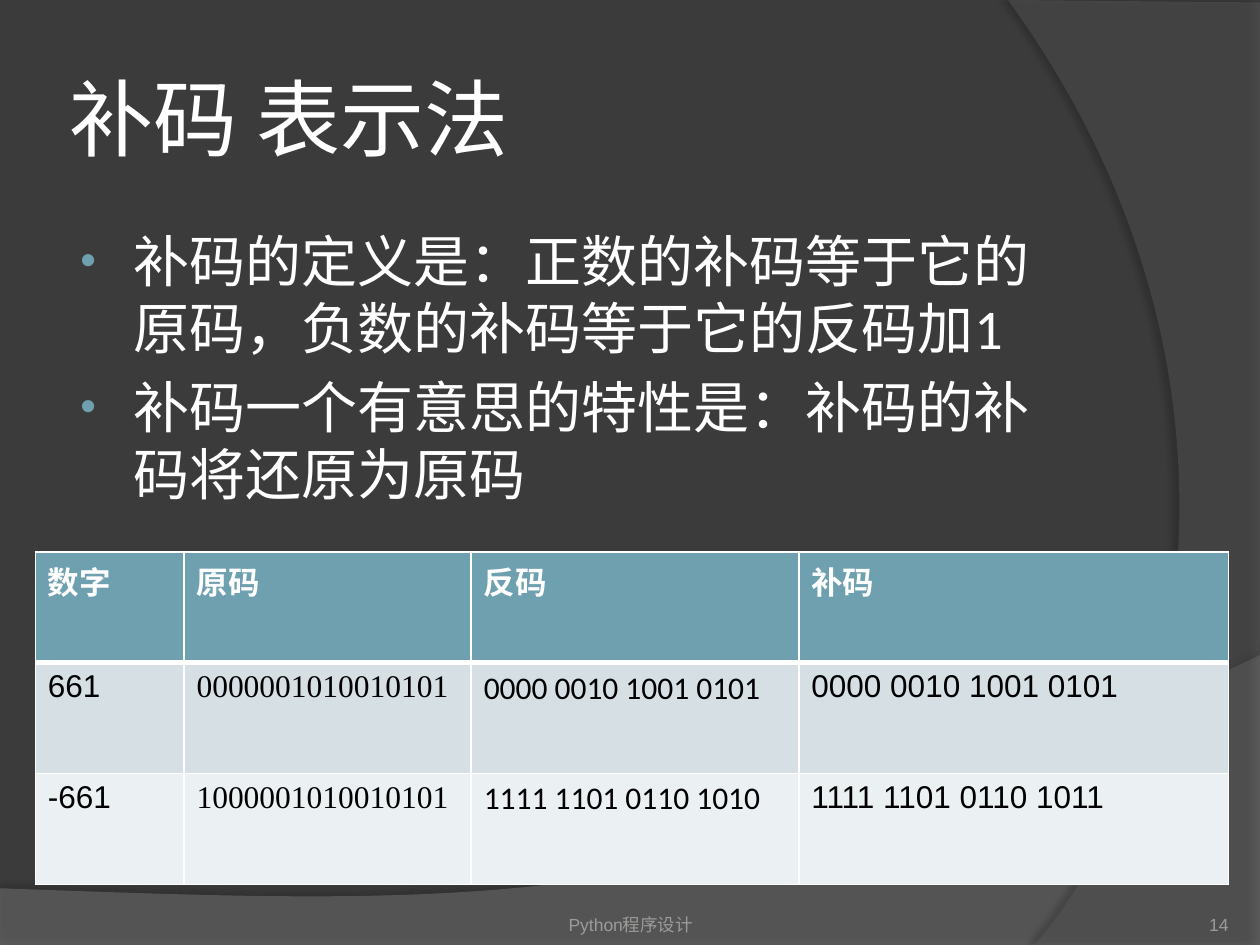
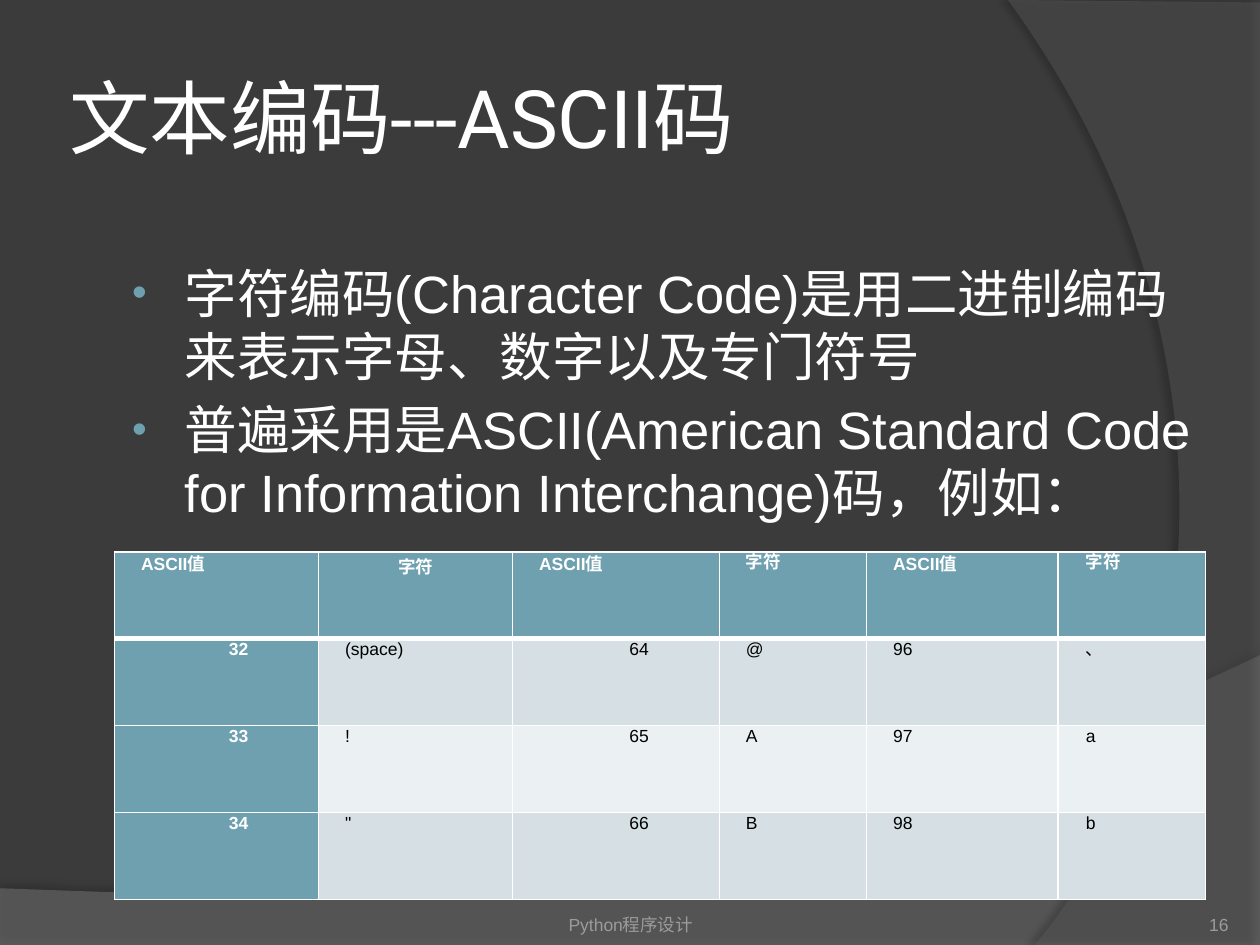
from dataclasses import dataclass

from pptx import Presentation
from pptx.dml.color import RGBColor
from pptx.enum.text import MSO_ANCHOR, PP_ALIGN
from pptx.oxml import parse_xml
from pptx.oxml.ns import nsdecls, qn
from pptx.oxml.xmlchemy import OxmlElement
from pptx.util import Inches, Pt


@dataclass(frozen=True)
class Theme:
    background: str = "3B3B3B"
    bottom_band: str = "7F7F7F"
    side_band: str = "5E5E5E"
    shadow: str = "000000"
    light: str = "FFFFFF"
    dark: str = "000000"
    muted: str = "9D9B9A"
    accent: str = "6EA0B0"
    row_fills: tuple = ("D5DFE4", "EBF0F2")
    font: str = "Arial"
    serif: str = "Times New Roman"
    humanist: str = "Calibri"
    title_font: str = "Roboto"
    chinese: str = "Noto Sans CJK SC"
    footer_size: int = 10
    number_table_size: int = 18
    ascii_table_size: int = 10


THEME = Theme()
TITLE_BOX = (0.5, 0.3, 8.17, 1.25)
FOOTER_BOX = (3.42, 7.02, 3.17, 0.4)
NUMBER_BOX = (8.92, 7.02, 0.83, 0.4)
FOOTER_TEXT = "Python程序设计"


def style_paragraph(paragraph, size, color, font=THEME.font, bold=False):
    paragraph.font.size = Pt(size)
    paragraph.font.name = font
    paragraph.font.bold = bold
    paragraph.font.color.rgb = RGBColor.from_string(color)
    east_asian = OxmlElement("a:ea")
    east_asian.set("typeface", THEME.chinese)
    paragraph.font._rPr.find(qn("a:latin")).addnext(east_asian)


def add_text_box(slide, box, anchor=MSO_ANCHOR.TOP, insets=(0.1, 0.05, 0.1, 0.05)):
    """Return the text frame of a wrapping box; insets are left, top, right, bottom."""
    frame = slide.shapes.add_textbox(*map(Inches, box)).text_frame
    frame.word_wrap = True
    frame.vertical_anchor = anchor
    (frame.margin_left, frame.margin_top,
     frame.margin_right, frame.margin_bottom) = map(Inches, insets)
    return frame


def add_line_of_text(slide, box, text, size, color, font, anchor, insets, align):
    frame = add_text_box(slide, box, anchor, insets)
    paragraph = frame.paragraphs[0]
    paragraph.text = text
    paragraph.alignment = align
    style_paragraph(paragraph, size, color, font)


def add_band(slide, start, steps, color, opacity, shadow):
    """Draw a closed outline: a step of one point is a line, of three a curve.

    The shadow is opacity in percent, blur and distance in points, and angle.
    """
    points = [[(Inches(x), Inches(y)) for x, y in step] for step in steps]
    builder = slide.shapes.build_freeform(*map(Inches, start))
    builder.add_line_segments([step[-1] for step in points], close=True)
    band = builder.convert_to_shape()
    segments = list(band._element.iter(qn("a:lnTo")))
    for segment, step in zip(segments, points):
        if len(step) == 3:
            curve = OxmlElement("a:cubicBezTo")
            for x, y in step:
                point = OxmlElement("a:pt")
                point.set("x", str(x - band.left))
                point.set("y", str(y - band.top))
                curve.append(point)
            segment.getparent().replace(segment, curve)

    band.fill.solid()
    band.fill.fore_color.rgb = RGBColor.from_string(color)
    alpha = OxmlElement("a:alpha")
    alpha.set("val", str(opacity * 1000))
    band._element.spPr.find(qn("a:solidFill"))[0].append(alpha)
    band.line.fill.background()
    band.shadow.inherit = False
    strength, blur, distance, angle = shadow
    band._element.spPr.find(qn("a:effectLst")).append(parse_xml(
        f'<a:outerShdw {nsdecls("a")} blurRad="{Pt(blur)}" dist="{Pt(distance)}" '
        f'dir="{angle * 60000}" rotWithShape="0"><a:srgbClr val="{THEME.shadow}">'
        f'<a:alpha val="{strength * 1000}"/></a:srgbClr></a:outerShdw>'))


def add_backdrop(slide):
    add_band(slide, (0, 7.05),
             [[(0, 7.5)], [(10, 7.5)], [(10, 5.2)],
              [(5.59, 7.29), (3.91, 7.19), (0, 7.05)]],
             THEME.bottom_band, 45, (35, 4, 3.5, 270))
    add_band(slide, (10, 0.02),
             [[(10, 7.5)], [(8.21, 7.5)], [(9.35, 6.19), (10.18, 3), (8, 0)]],
             THEME.side_band, 40, (45, 4, 4, 180))


def add_base_slide(presentation, title, title_size, title_font, number):
    """Add a slide with the bands, title, footer and page number."""
    slide = presentation.slides.add_slide(presentation.slide_layouts[6])
    add_backdrop(slide)
    add_line_of_text(slide, TITLE_BOX, title, title_size, THEME.light, title_font,
                     MSO_ANCHOR.MIDDLE, (0.05,) * 4, PP_ALIGN.LEFT)
    for box, text, top_inset, align in (
            (FOOTER_BOX, FOOTER_TEXT, 0.05, PP_ALIGN.CENTER),
            (NUMBER_BOX, str(number), 0, PP_ALIGN.RIGHT)):
        add_line_of_text(slide, box, text, THEME.footer_size, THEME.muted, THEME.font,
                         MSO_ANCHOR.BOTTOM, (0, top_inset, 0, 0), align)
    return slide


def add_bullets(slide, box, texts, size, font):
    frame = add_text_box(slide, box)
    for index, text in enumerate(texts):
        paragraph = frame.paragraphs[0] if index == 0 else frame.add_paragraph()
        paragraph.text = text
        properties = paragraph._p.get_or_add_pPr()
        properties.set("marL", str(Inches(0.46)))
        properties.set("indent", str(Inches(-0.42)))
        for bullet in (
                f'<a:buClr {nsdecls("a")}><a:srgbClr val="{THEME.accent}"/></a:buClr>',
                f'<a:buSzPct {nsdecls("a")} val="80000"/>',
                f'<a:buFont {nsdecls("a")} typeface="{THEME.font}"/>',
                f'<a:buChar {nsdecls("a")} char="•"/>'):
            properties.append(parse_xml(bullet))
        paragraph.space_before = Pt(size * 0.2 if index else 0)
        style_paragraph(paragraph, size, THEME.light, font)


def set_borders(cell, top, bottom):
    properties = cell._tc.get_or_add_tcPr()
    for side, width in (("L", 1), ("R", 1), ("T", top), ("B", bottom)):
        properties.append(parse_xml(
            f'<a:ln{side} {nsdecls("a")} w="{Pt(width)}"><a:solidFill>'
            f'<a:srgbClr val="{THEME.light}"/></a:solidFill></a:ln{side}>'))


def add_grid(slide, left, top, widths, row_height, rows, size, column_fonts,
             header_column=False):
    """Add a banded table with a header row; fonts apply below the header."""
    table = slide.shapes.add_table(
        len(rows), len(widths), Inches(left), Inches(top),
        Inches(sum(widths)), Inches(row_height * len(rows))).table
    table.first_col = header_column
    for column, width in zip(table.columns, widths):
        column.width = Inches(width)
    for row_index, row in enumerate(rows):
        for column_index, text in enumerate(row):
            cell = table.cell(row_index, column_index)
            is_header = row_index == 0 or (header_column and column_index == 0)
            set_borders(cell, 3 if row_index == 1 else 1, 3 if row_index == 0 else 1)
            cell.fill.solid()
            cell.fill.fore_color.rgb = RGBColor.from_string(
                THEME.accent if is_header else THEME.row_fills[(row_index - 1) % 2])
            paragraph = cell.text_frame.paragraphs[0]
            paragraph.text = text
            style_paragraph(paragraph, size, THEME.light if is_header else THEME.dark,
                            column_fonts[column_index] if row_index else THEME.font,
                            is_header)
    return table


def align_ascii_cells(table):
    """Indent the cells, and set the first and third columns of codes right."""
    for row_index, row in enumerate(table.rows):
        for column_index, cell in enumerate(row.cells):
            cell.margin_left = cell.margin_right = Inches(0.07)
            cell.margin_top = cell.margin_bottom = 0
            paragraph = cell.text_frame.paragraphs[0]
            properties = paragraph._p.get_or_add_pPr()
            paragraph.line_spacing = 1.07
            if row_index == 0 and column_index == 1:
                paragraph.alignment = PP_ALIGN.CENTER
            elif row_index and column_index in (0, 2):
                paragraph.alignment = PP_ALIGN.RIGHT
                properties.set("marR", str(Inches(0.49)))
            else:
                indent = 0.15 if column_index == 5 else 0.14
                properties.set("marL", str(Inches(indent)))
                if row_index == 0:
                    paragraph.line_spacing = Pt(12.6 if column_index in (3, 5) else 13.3)
                elif cell.text == "、":
                    paragraph.line_spacing = Pt(12.6)


def build_complement_slide(presentation):
    slide = add_base_slide(presentation, "补码 表示法", 48, THEME.chinese, 14)
    add_bullets(slide, (0.5, 1.75, 8.17, 4.95), [
        "补码的定义是：正数的补码等于它的原码，负数的补码等于它的反码加1",
        "补码一个有意思的特性是：补码的补码将还原为原码",
    ], 32, THEME.humanist)
    rows = [
        ("数字", "原码", "反码", "补码"),
        ("661", "0000001010010101", "0000 0010 1001 0101", "0000 0010 1001 0101"),
        ("-661", "1000001010010101", "1111 1101 0110 1010", "1111 1101 0110 1011"),
    ]
    add_grid(slide, 0.28, 4.38, (1.18, 2.28, 2.6, 3.41), 0.88, rows,
             THEME.number_table_size,
             (THEME.font, THEME.serif, THEME.humanist, THEME.font))


def build_ascii_slide(presentation):
    slide = add_base_slide(presentation, "文本编码---ASCII码", 46, THEME.title_font, 16)
    add_bullets(slide, (0.91, 2.02, 8.87, 4.96), [
        "字符编码(Character Code)是用二进制编码来表示字母、数字以及专门符号",
        "普遍采用是ASCII(American Standard Code for Information Interchange)码，例如：",
    ], 30, THEME.font)
    rows = [
        ("ASCII值", "字符") * 3,
        ("32", "(space)", "64", "@", "96", "、"),
        ("33", "!", "65", "A", "97", "a"),
        ("34", '"', "66", "B", "98", "b"),
    ]
    table = add_grid(slide, 0.91, 4.38, (1.62, 1.54, 1.64, 1.17, 1.52, 1.17), 0.69, rows,
                     THEME.ascii_table_size, (THEME.font,) * 6, header_column=True)
    align_ascii_cells(table)


def main():
    presentation = Presentation()
    presentation.slide_width = Inches(10)
    presentation.slide_height = Inches(7.5)
    background = presentation.slide_master.background.fill
    background.solid()
    background.fore_color.rgb = RGBColor.from_string(THEME.background)
    build_complement_slide(presentation)
    build_ascii_slide(presentation)
    presentation.save("out.pptx")


if __name__ == "__main__":
    main()
